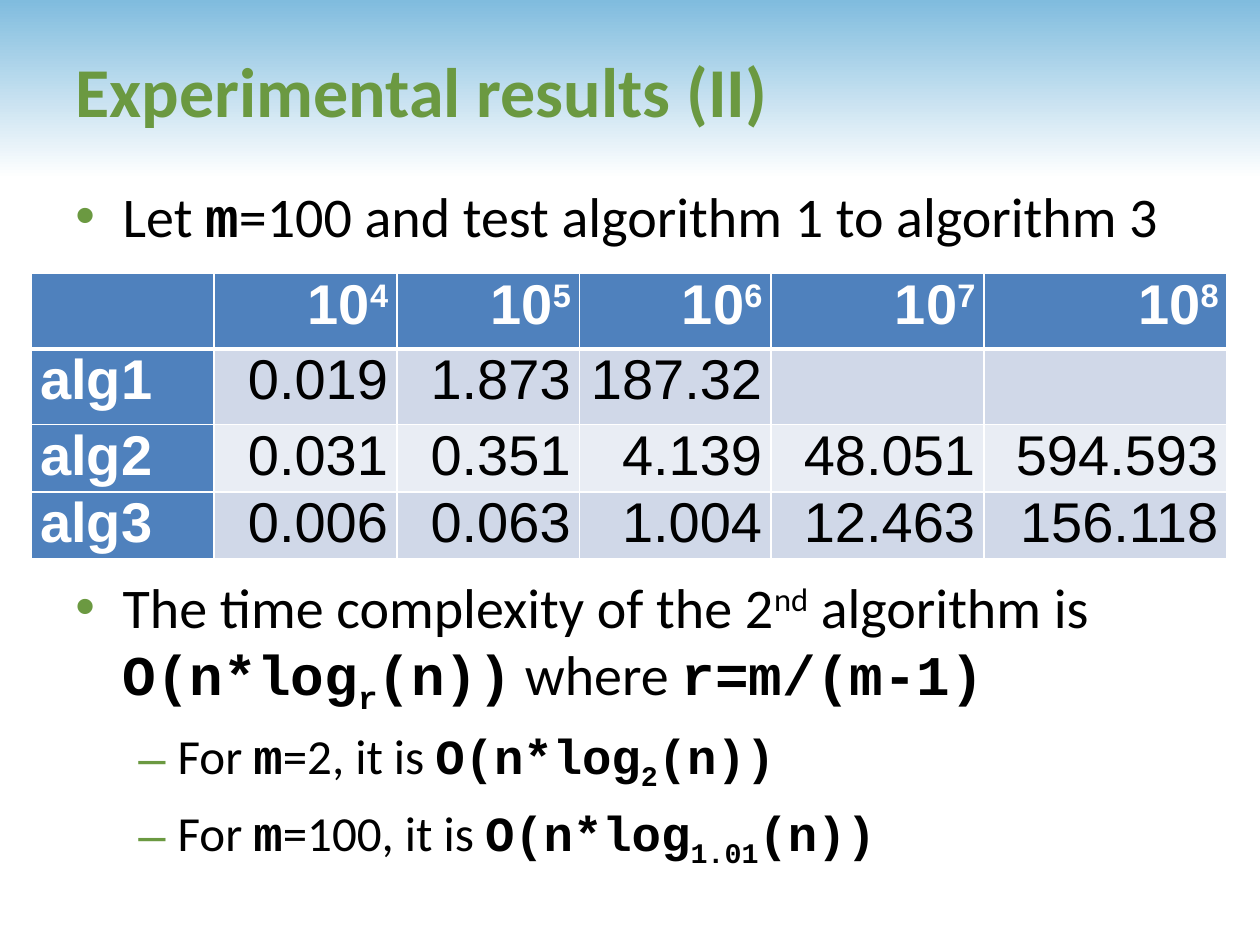
from pptx import Presentation
from pptx.dml.color import RGBColor
from pptx.enum.shapes import MSO_SHAPE
from pptx.enum.text import MSO_ANCHOR, MSO_AUTO_SIZE, PP_ALIGN
from pptx.oxml.ns import qn
from pptx.util import Pt
from lxml import etree

PLATE = MSO_SHAPE.PENTAGON
MIDDLE = MSO_ANCHOR.MIDDLE
FIXED = MSO_AUTO_SIZE.NONE
LEFT, RIGHT = PP_ALIGN.LEFT, PP_ALIGN.RIGHT

GREEN, BLUE, SKY = "6B9941", "4F81BD", "80BCDE"
WHITE, BLACK = "FFFFFF", "000000"
BANDS = ["D0D8E8", "E9EDF4"]
CODE = {"face": "Courier New", "bold": True}
SUB = {**CODE, "base": -25}
SUP = {"base": 30}

TITLE = "Experimental results (II)"
LEVELS = [
    {"mark": "•", "size": 32, "left": 27, "hang": 27},
    {"mark": "–", "size": 28, "left": 58.5, "hang": 22.5},
]
POINTS = [
    (0, 0, [("Let ", {}), ("m", CODE),
            ("=100 and test algorithm 1 to algorithm 3", {})]),
    (0, 185, [("The time complexity of the 2", {}), ("nd", SUP),
              (" algorithm is ", {}), ("O(n*log", CODE), ("r", SUB),
              ("(n))", CODE), (" where ", {}), ("r=m/(m-1)", CODE)]),
    (1, 5.6, [("For ", {}), ("m", CODE), ("=2, it is ", {}),
              ("O(n*log", CODE), ("2", SUB), ("(n))", CODE)]),
    (1, 5.6, [("For ", {}), ("m", CODE), ("=100, it is ", {}),
              ("O(n*log", CODE), ("1.01", SUB), ("(n))", CODE)]),
]
POWERS = ["4", "5", "6", "7", "8"]
TIMES = [
    ["alg1", "0.019", "1.873", "187.32", "", ""],
    ["alg2", "0.031", "0.351", "4.139", "48.051", "594.593"],
    ["alg3", "0.006", "0.063", "1.004", "12.463", "156.118"],
]
WIDTHS = [104.4, 104.4, 104.4, 109.4, 121.7, 139]
HEIGHTS = [43.2, 43.2, 36, 36]


def tint(code):
    return RGBColor.from_string(code)


def place(left, top, width, height):
    return Pt(left), Pt(top), Pt(width), Pt(height)


def write(par, text, face="Calibri", size=32, color=BLACK, bold=False, base=0):
    run = par.add_run()
    run.text = text
    font = run.font
    font.name, font.size, font.bold = face, Pt(size), bold
    font.color.rgb = tint(color)
    if base:
        run._r.get_or_add_rPr().set("baseline", str(base * 1000))


def bullet(par, mark, left, hang):
    props = par._p.get_or_add_pPr()
    props.set("marL", str(Pt(left)))
    props.set("indent", str(-Pt(hang)))
    hue = etree.SubElement(props, qn("a:buClr"))
    etree.SubElement(hue, qn("a:srgbClr"), val=GREEN)
    etree.SubElement(props, qn("a:buFont"), typeface="Arial")
    etree.SubElement(props, qn("a:buChar"), char=mark)


def border(cell, low):
    props = cell._tc.get_or_add_tcPr()
    for side, width in (("L", 1), ("R", 1), ("T", 1), ("B", low)):
        line = etree.SubElement(props, qn("a:ln" + side), w=str(Pt(width)))
        fill = etree.SubElement(line, qn("a:solidFill"))
        etree.SubElement(fill, qn("a:srgbClr"), val=WHITE)


def add_banner(slide):
    plate = slide.shapes.add_shape(PLATE, *place(0, 0, 720, 102))
    plate.adjustments[0] = 0
    plate.shadow.inherit = False
    plate.line.fill.background()
    plate.fill.gradient()
    plate.fill.gradient_angle = 270
    for stop, spot, code in zip(plate.fill.gradient_stops, (0, 1), (SKY, WHITE)):
        stop.position = spot
        stop.color.rgb = tint(code)


def add_title(slide):
    title = slide.shapes.title
    title.left, title.top, title.width, title.height = place(36, 6, 654, 90)
    frame = title.text_frame
    frame.vertical_anchor, frame.auto_size = MIDDLE, FIXED
    par = frame.paragraphs[0]
    par.alignment = LEFT
    write(par, TITLE, size=40, color=GREEN, bold=True)
    slide.shapes[-1]._element.addnext(title._element)


def add_points(slide):
    frame = slide.shapes.add_textbox(*place(36, 100, 654, 421)).text_frame
    frame.word_wrap = True
    for num, (rank, gap, runs) in enumerate(POINTS):
        par = frame.add_paragraph() if num else frame.paragraphs[0]
        level = LEVELS[rank]
        par.level = rank
        par.space_before = Pt(gap)
        bullet(par, level["mark"], level["left"], level["hang"])
        for text, look in runs:
            write(par, text, size=level["size"], **look)


def add_times(slide):
    rows = [[""] + ["10"] * len(POWERS)] + TIMES
    box = place(18, 156.2, sum(WIDTHS), sum(HEIGHTS))
    table = slide.shapes.add_table(len(rows), len(WIDTHS), *box).table
    table.first_col = True
    for col, width in zip(table.columns, WIDTHS):
        col.width = Pt(width)
    for row, height in zip(table.rows, HEIGHTS):
        row.height = Pt(height)
    for y, row in enumerate(rows):
        for x, text in enumerate(row):
            cell = table.cell(y, x)
            head = y == 0 or x == 0
            border(cell, 1 if y else 3)
            cell.fill.solid()
            cell.fill.fore_color.rgb = tint(BLUE if head else BANDS[(y - 1) % 2])
            cell.margin_left = cell.margin_right = Pt(5)
            cell.margin_top = cell.margin_bottom = 0
            if not text:
                continue
            par = cell.text_frame.paragraphs[0]
            par.alignment = RIGHT if x else LEFT
            look = {"face": "Arial", "color": WHITE if head else BLACK, "bold": head}
            write(par, text, **look)
            if y == 0:
                write(par, POWERS[x - 1], **look, **SUP)


def main():
    deck = Presentation()
    deck.slide_width, deck.slide_height = Pt(720), Pt(540)
    slide = deck.slides.add_slide(deck.slide_layouts[5])
    add_banner(slide)
    add_title(slide)
    add_points(slide)
    add_times(slide)
    deck.save("out.pptx")


if __name__ == "__main__":
    main()
